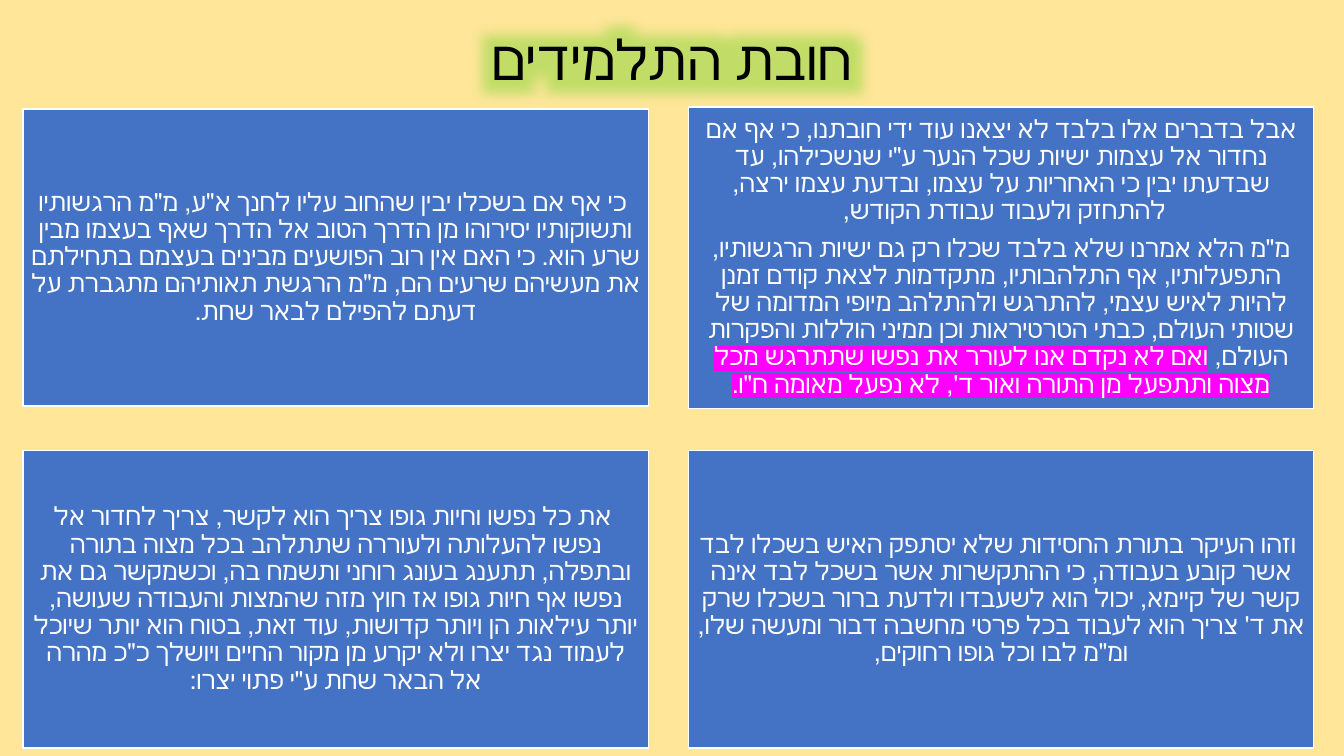
"""Build the four-passage Hebrew slide and save it as out.pptx."""
from lxml.etree import SubElement
from pptx import Presentation
from pptx.dml.color import RGBColor
from pptx.enum.shapes import MSO_SHAPE
from pptx.enum.text import MSO_ANCHOR, PP_ALIGN
from pptx.oxml.ns import qn
from pptx.util import Inches, Pt

TITLE = "חובת התלמידים"
PLAIN, MARKED = None, "FF00FF"
PASSAGES = [
    [
        [("אבל בדברים אלו בלבד לא יצאנו עוד ידי חובתנו, כי אף אם נחדור אל עצמות ישיות שכל הנער ע\"י שנשכילהו, "
          "עד שבדעתו יבין כי האחריות על עצמו, ובדעת עצמו ירצה, להתחזק ולעבוד עבודת הקודש, ", PLAIN)],
        [("מ\"מ הלא אמרנו שלא בלבד שכלו רק גם ישיות הרגשותיו, התפעלותיו, אף התלהבותיו, מתקדמות לצאת קודם זמנן "
          "להיות לאיש עצמי, להתרגש ולהתלהב מיופי המדומה של שטותי העולם, כבתי הטרטיראות וכן ממיני הוללות "
          "והפקרות העולם, ", PLAIN),
         ("ואם לא נקדם אנו לעורר את נפשו שתתרגש מכל מצוה ותתפעל מן התורה ואור ד', לא נפעל מאומה ח\"ו.", MARKED)],
    ],
    [
        [(" כי אף אם בשכלו יבין שהחוב עליו לחנך א\"ע, מ\"מ הרגשותיו ותשוקותיו יסירוהו מן הדרך הטוב אל הדרך "
          "שאף בעצמו מבין שרע הוא. כי האם אין רוב הפושעים מבינים בעצמם בתחילתם את מעשיהם שרעים הם, "
          "מ\"מ הרגשת תאותיהם מתגברת על דעתם להפילם לבאר שחת.", PLAIN)],
    ],
    [
        [(" וזהו העיקר בתורת החסידות שלא יסתפק האיש בשכלו לבד אשר קובע בעבודה, כי ההתקשרות אשר בשכל לבד אינה "
          "קשר של קיימא, יכול הוא לשעבדו ולדעת ברור בשכלו שרק את ד' צריך הוא לעבוד בכל פרטי מחשבה דבור "
          "ומעשה שלו, ומ\"מ לבו וכל גופו רחוקים,", PLAIN)],
    ],
    [
        [(" את כל נפשו וחיות גופו צריך הוא לקשר, צריך לחדור אל נפשו להעלותה ולעוררה שתתלהב בכל מצוה בתורה "
          "ובתפלה, תתענג בעונג רוחני ותשמח בה, וכשמקשר גם את נפשו אף חיות גופו אז חוץ מזה שהמצות והעבודה "
          "שעושה, יותר עילאות הן ויותר קדושות, עוד זאת, בטוח הוא יותר שיוכל לעמוד נגד יצרו ולא יקרע מן "
          "מקור החיים ויושלך כ\"כ מהרה אל הבאר שחת ע\"י פתוי יצרו:", PLAIN)],
    ],
]

WIDTH, HEIGHT = 13.33, 7.5
CARD_WIDTH, CARD_HEIGHT, TALL_EXTRA = 6.2, 2.95, 0.04
COLUMN_GAP, ROW_GAP = 0.4, 0.44
CARDS_LEFT, CARDS_TOP = 0.23, 1.08
TITLE_WIDTH, TITLE_TOP, TITLE_HEIGHT = 11.5, 0.4, 0.44
FONT = "Calibri"
PARAGRAPH = {"alignment": PP_ALIGN.CENTER, "line_spacing": 0.9}
CARD_PARAGRAPH = {**PARAGRAPH, "space_after": Pt(7)}
TITLE_FRAME = {"word_wrap": True, "vertical_anchor": MSO_ANCHOR.MIDDLE}
CARD_FRAME = {**TITLE_FRAME,
              **{f"margin_{side}": Inches(0.07) for side in ("left", "right", "top", "bottom")}}


def color(code):
    return RGBColor.from_string(code)


def apply(target, values):
    for name, value in values.items():
        setattr(target, name, value)


def add_color(parent, code):
    return SubElement(parent, qn("a:srgbClr"), val=code)


def add_span(para, text, size, ink, highlight=None, glow=None):
    span = para.add_run()
    span.text = text
    span.font.size = Pt(size)
    span.font.color.rgb = color(ink)
    properties = span.font._element
    properties.set("lang", "he-IL")
    if glow:
        effects = SubElement(properties, qn("a:effectLst"))
        halo = SubElement(effects, qn("a:glow"), rad=str(Inches(0.6)))
        SubElement(add_color(halo, glow), qn("a:alpha"), val="40000")
    if highlight:
        add_color(SubElement(properties, qn("a:highlight")), highlight)
    span.font.name = FONT


def write(frame, paragraphs, frame_format, para_format, size, ink, glow=None):
    apply(frame, frame_format)
    for index, spans in enumerate(paragraphs):
        para = frame.add_paragraph() if index else frame.paragraphs[0]
        apply(para, para_format)
        para._p.get_or_add_pPr().set("rtl", "1")
        for text, highlight in spans:
            add_span(para, text, size, ink, highlight, glow)


def add_card(page, index, paragraphs):
    row, column = divmod(index, 2)
    extra = TALL_EXTRA if index == 0 else 0
    left = CARDS_LEFT + (1 - column) * (CARD_WIDTH + COLUMN_GAP)
    top = CARDS_TOP + row * (CARD_HEIGHT + ROW_GAP) - extra / 2
    box = page.shapes.add_shape(MSO_SHAPE.RECTANGLE, Inches(left), Inches(top),
                                Inches(CARD_WIDTH), Inches(CARD_HEIGHT + extra))
    box.shadow.inherit = False
    box.fill.solid()
    box.fill.fore_color.rgb = color("4472C4")
    box.line.color.rgb = color("FFFFFF")
    box.line.width = Pt(1)
    write(box.text_frame, paragraphs, CARD_FRAME, CARD_PARAGRAPH, 18, "FFFFFF")


def main():
    deck = Presentation()
    apply(deck, {"slide_width": Inches(WIDTH), "slide_height": Inches(HEIGHT)})
    page = deck.slides.add_slide(deck.slide_layouts[6])
    page.background.fill.solid()
    page.background.fill.fore_color.rgb = color("FFE699")
    title = page.shapes.add_textbox(Inches((WIDTH - TITLE_WIDTH) / 2), Inches(TITLE_TOP),
                                    Inches(TITLE_WIDTH), Inches(TITLE_HEIGHT))
    write(title.text_frame, [[(TITLE, PLAIN)]], TITLE_FRAME, PARAGRAPH, 39.6, "000000", "66D21E")
    for index, paragraphs in enumerate(PASSAGES):
        add_card(page, index, paragraphs)
    deck.save("out.pptx")


if __name__ == "__main__":
    main()
